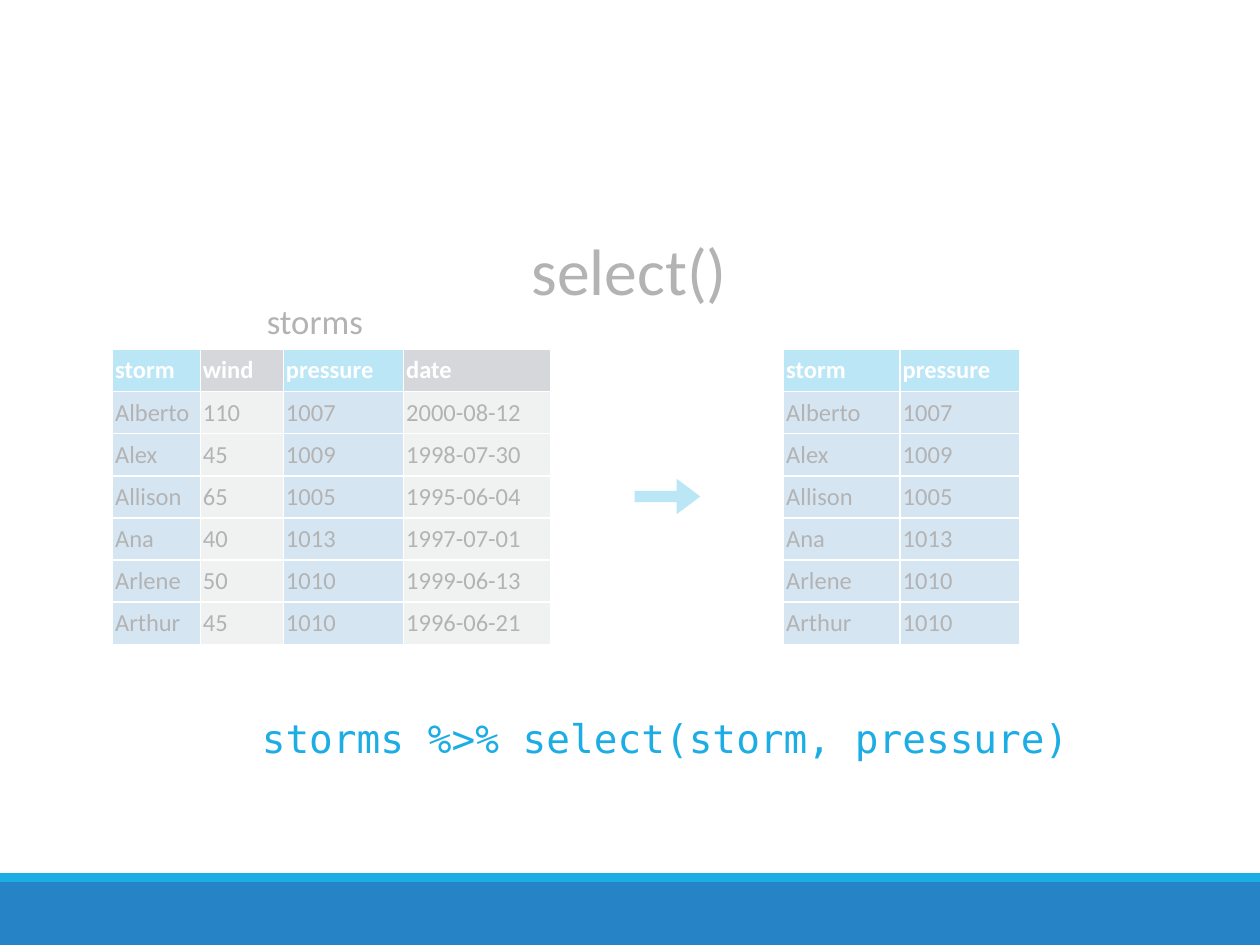
"""Slide explaining how select() keeps chosen columns of a table."""
from lxml import etree
from pptx import Presentation
from pptx.dml.color import RGBColor
from pptx.enum import shapes, text
from pptx.oxml import ns
from pptx.util import Pt

COLORS = {
    "white": "FFFFFF", "black": "000000", "cyan": "1CADE4", "blue": "2683C6",
    "kept": "78AAD6", "gray": "767C85", "dropped": "D0D1D2",
}
STORMS = [
    ("storm", "wind", "pressure", "date"),
    ("Alberto", "110", "1007", "2000-08-12"),
    ("Alex", "45", "1009", "1998-07-30"),
    ("Allison", "65", "1005", "1995-06-04"),
    ("Ana", "40", "1013", "1997-07-01"),
    ("Arlene", "50", "1010", "1999-06-13"),
    ("Arthur", "45", "1010", "1996-06-21"),
]
KEPT = ("storm", "pressure")


class Deck:
    def __init__(self, width, height, font, mono):
        self.prs = Presentation()
        self.prs.slide_width, self.prs.slide_height = Pt(width), Pt(height)
        self.s = self.prs.slides.add_slide(self.prs.slide_layouts[6])
        self.font, self.mono = font, mono

    def rgb(self, color):
        return RGBColor.from_string(COLORS[color])

    def fill(self, target, color):
        target.fill.solid()
        target.fill.fore_color.rgb = self.rgb(color)

    def run(self, p, words, size, color, font=None, bold=False):
        r = p.add_run()
        r.text = words
        r.font.size, r.font.bold = Pt(size), bold
        r.font.name = font or self.font
        r.font.color.rgb = self.rgb(color)

    def shape(self, kind, box, color, opacity=None, adjust=()):
        sp = self.s.shapes.add_shape(kind, *map(Pt, box))
        sp.shadow.inherit = False
        self.fill(sp, color)
        sp.line.fill.background()
        for i, value in enumerate(adjust):
            sp.adjustments[i] = value
        if opacity is not None:
            clr = next(sp.fill._xPr.iter(ns.qn("a:srgbClr")))
            etree.SubElement(clr, ns.qn("a:alpha"), val=str(opacity * 1000))

    def label(self, box, words, size, color, font=None, inset=2, align=text.PP_ALIGN.LEFT,
              anchor=text.MSO_ANCHOR.MIDDLE, before=0, spacing=1.0):
        tf = self.s.shapes.add_textbox(*map(Pt, box)).text_frame
        tf.word_wrap, tf.vertical_anchor = True, anchor
        tf.margin_left = tf.margin_right = tf.margin_top = tf.margin_bottom = Pt(inset)
        p = tf.paragraphs[0]
        p.alignment, p.space_before, p.line_spacing = align, Pt(before), spacing
        self.run(p, words, size, color, font)

    def borders(self, cell, color, width):
        tc_pr = cell._tc.get_or_add_tcPr()
        for i, side in enumerate(("lnL", "lnR", "lnT", "lnB")):
            ln = etree.Element(ns.qn(f"a:{side}"), w=str(Pt(width)))
            solid = etree.SubElement(ln, ns.qn("a:solidFill"))
            etree.SubElement(solid, ns.qn("a:srgbClr"), val=COLORS[color])
            tc_pr.insert(i, ln)

    def table(self, left, top, widths, row_height, rows):
        box = (left, top, sum(widths), row_height * len(rows))
        tbl = self.s.shapes.add_table(len(rows), len(widths), *map(Pt, box)).table
        tbl.first_row = tbl.horz_banding = False
        for col, width in zip(tbl.columns, widths):
            col.width = Pt(width)
        for i, row in enumerate(rows):
            tbl.rows[i].height = Pt(row_height)
            for j, words in enumerate(row):
                cell, head = tbl.cell(i, j), i == 0
                cell.margin_left = cell.margin_right = Pt(1.5)
                cell.margin_top = cell.margin_bottom = Pt(1.5)
                cell.vertical_anchor = text.MSO_ANCHOR.MIDDLE
                pair = ("cyan", "kept") if rows[0][j] in KEPT else ("gray", "dropped")
                self.fill(cell, pair[0 if head else 1])
                self.borders(cell, "white", 1)
                p = cell.text_frame.paragraphs[0]
                p.alignment = text.PP_ALIGN.LEFT
                self.run(p, words, 14, "white" if head else "black", bold=head)


def main():
    d = Deck(720, 540, "Calibri", "DejaVu Sans Mono")
    rect = shapes.MSO_SHAPE.RECTANGLE
    d.shape(rect, (0, 504, 720, 36), "blue")
    d.shape(rect, (0, 499, 720, 5), "cyan")
    d.table(64.3, 199.7, (50.2, 47.5, 68.7, 84.2), 24.07, STORMS)
    d.label((205.2, 127.4, 308.9, 53.3), "select()", 37.5, "black",
            inset=1.5, align=text.PP_ALIGN.CENTER)
    d.label((147.6, 406.1, 467.3, 43.9), "storms %>% select(storm, pressure)", 22.5,
            "cyan", d.mono, anchor=text.MSO_ANCHOR.TOP, before=4.5)
    d.label((150.5, 171.4, 69.1, 26.6), "storms", 19.8, "black", before=21, spacing=0.9)
    chosen = [STORMS[0].index(name) for name in KEPT]
    d.table(447.8, 199.7, (66.6, 68.4), 24.07,
            [[row[j] for j in chosen] for row in STORMS])
    d.shape(shapes.MSO_SHAPE.RIGHT_ARROW, (362.6, 273.6, 37.6, 20.2), "cyan",
            adjust=(0.32, 0.665))
    d.shape(rect, (26.6, 116.6, 667.4, 279.4), "white", opacity=70)
    d.prs.save("out.pptx")


if __name__ == "__main__":
    main()
